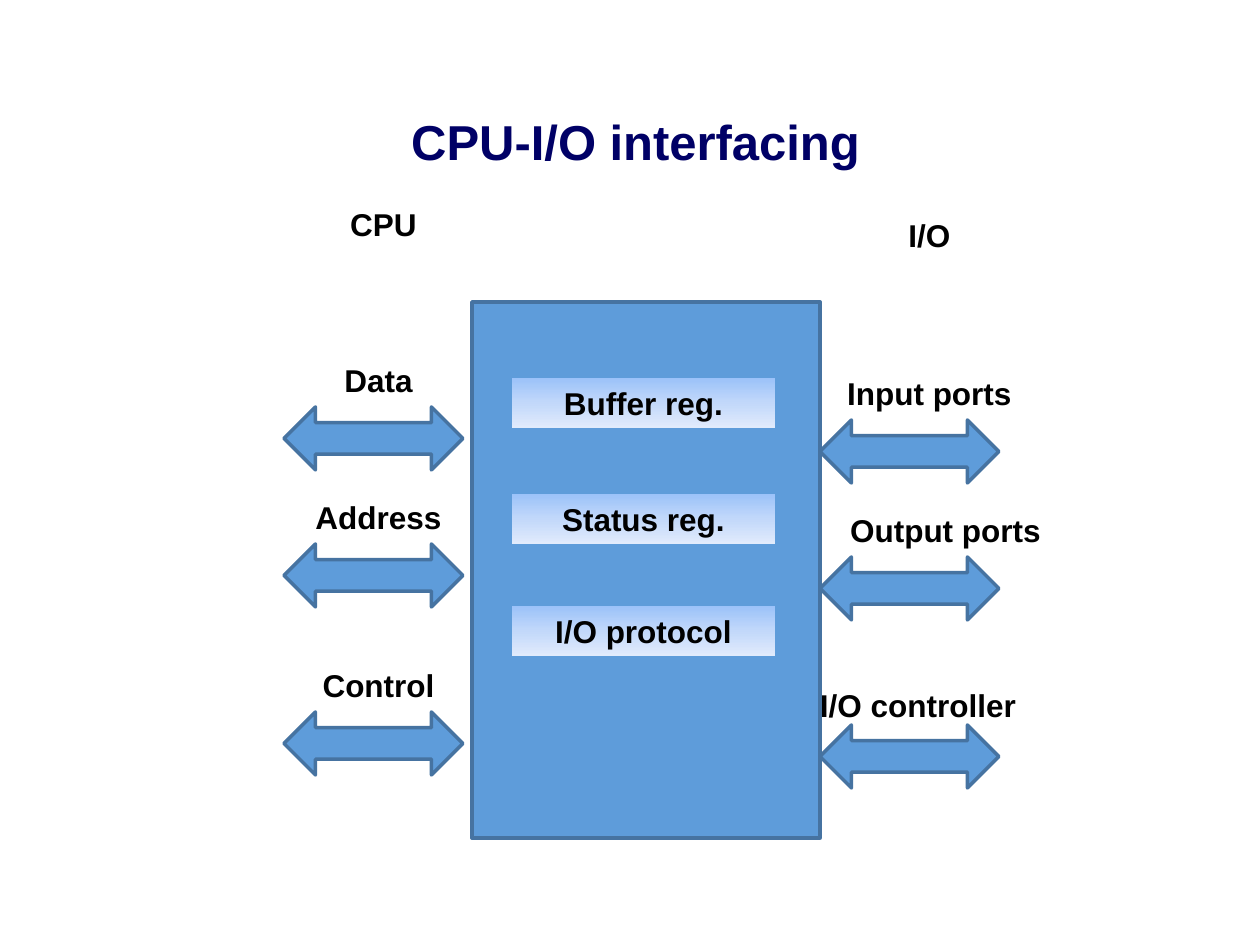
import copy
from dataclasses import dataclass

import pptx
import pptx.dml.color
import pptx.enum.shapes
import pptx.enum.text
import pptx.util

EMU_PER_PX = 914400 // 126
SHAPES = pptx.enum.shapes.MSO_SHAPE
ANCHORS = pptx.enum.text.MSO_ANCHOR


@dataclass(frozen=True)
class Theme:
    font: str = "Arial"
    title_size: int = 28
    label_size: int = 18
    title: str = "000066"
    text: str = "000000"
    fill: str = "5E9CDA"
    line: str = "4673A1"
    line_width: int = 2
    register: tuple = ("9BC2F9", "C2D8FA", "E1EBFC")


THEME = Theme()
LABEL_HEIGHT = 50
LABEL_RISE = 52  # from the top of a label to the top of its arrow
ARROW_WIDTH, ARROW_HEIGHT = 179, 63
BUS_TOPS = (407, 544, 712)
PORT_DROP = 13  # the port arrows sit this much below the bus arrows
BUS_LEFT, PORT_LEFT = 284, 820


def px(*lengths):
    return [pptx.util.Emu(length * EMU_PER_PX) for length in lengths]


def rgb(value):
    return pptx.dml.color.RGBColor.from_string(value)


def write_text(shape, text, size=THEME.label_size, color=THEME.text, anchor=ANCHORS.TOP):
    frame = shape.text_frame
    frame.word_wrap = True
    frame.vertical_anchor = anchor
    para = frame.paragraphs[0]
    para.alignment = pptx.enum.text.PP_ALIGN.CENTER
    span = para.add_run()
    span.text = text
    span.font.name = THEME.font
    span.font.size = pptx.util.Pt(size)
    span.font.bold = True
    span.font.color.rgb = rgb(color)


def add_label(page, text, left, top, width, height=LABEL_HEIGHT, **text_format):
    box = page.shapes.add_textbox(*px(left, top, width, height))
    write_text(box, text, **text_format)


def add_block(page, kind, left, top, width, height):
    block = page.shapes.add_shape(kind, *px(left, top, width, height))
    block.shadow.inherit = False
    block.fill.solid()
    block.fill.fore_color.rgb = rgb(THEME.fill)
    block.line.color.rgb = rgb(THEME.line)
    block.line.width = pptx.util.Pt(THEME.line_width)
    return block


def add_register(page, text, top):
    box = add_block(page, SHAPES.RECTANGLE, 512, top, 263, LABEL_HEIGHT)
    box.line.fill.background()
    box.fill.gradient()
    box.fill.gradient_angle = 270
    first_stop = box._element.xpath(".//a:gs")[0]
    first_stop.addnext(copy.deepcopy(first_stop))
    for index, stop in enumerate(box.fill.gradient_stops):
        stop.position = index / 2
        stop.color.rgb = rgb(THEME.register[index])
    write_text(box, text)


def add_arrow(page, left, top):
    add_block(page, SHAPES.LEFT_RIGHT_ARROW, left, top, ARROW_WIDTH, ARROW_HEIGHT)


def add_interface(page):
    add_block(page, SHAPES.RECTANGLE, 472, 302, 348, 536)
    for text, top in (("Buffer reg.", 378), ("Status reg.", 494), ("I/O protocol", 606)):
        add_register(page, text, top)


def add_cpu_side(page):
    for text, top in zip(("Data", "Address", "Control"), BUS_TOPS):
        add_arrow(page, BUS_LEFT, top)
        add_label(page, text, BUS_LEFT + 10, top - LABEL_RISE, 169)
    add_label(page, "CPU", BUS_LEFT, 199, 199)


def add_io_side(page):
    for top in BUS_TOPS:
        add_arrow(page, PORT_LEFT, top + PORT_DROP)
    for text, top, width in zip(("Input ports", "Output ports"), BUS_TOPS, (199, 231)):
        add_label(page, text, PORT_LEFT + 10, top + PORT_DROP - LABEL_RISE, width)
    add_label(page, "I/O", PORT_LEFT + 10, 210, 199)


def main():
    deck = pptx.Presentation()
    deck.slide_width, deck.slide_height = pptx.util.Inches(10), pptx.util.Inches(7.5)
    page = deck.slides.add_slide(deck.slide_layouts[6])
    add_label(page, "CPU-I/O interfacing", 32, 105, 1207, 72,
              size=THEME.title_size, color=THEME.title, anchor=ANCHORS.MIDDLE)
    add_label(page, "I/O controller", 776, 680, 284)
    add_interface(page)
    add_cpu_side(page)
    add_io_side(page)
    deck.save("out.pptx")


if __name__ == "__main__":
    main()
